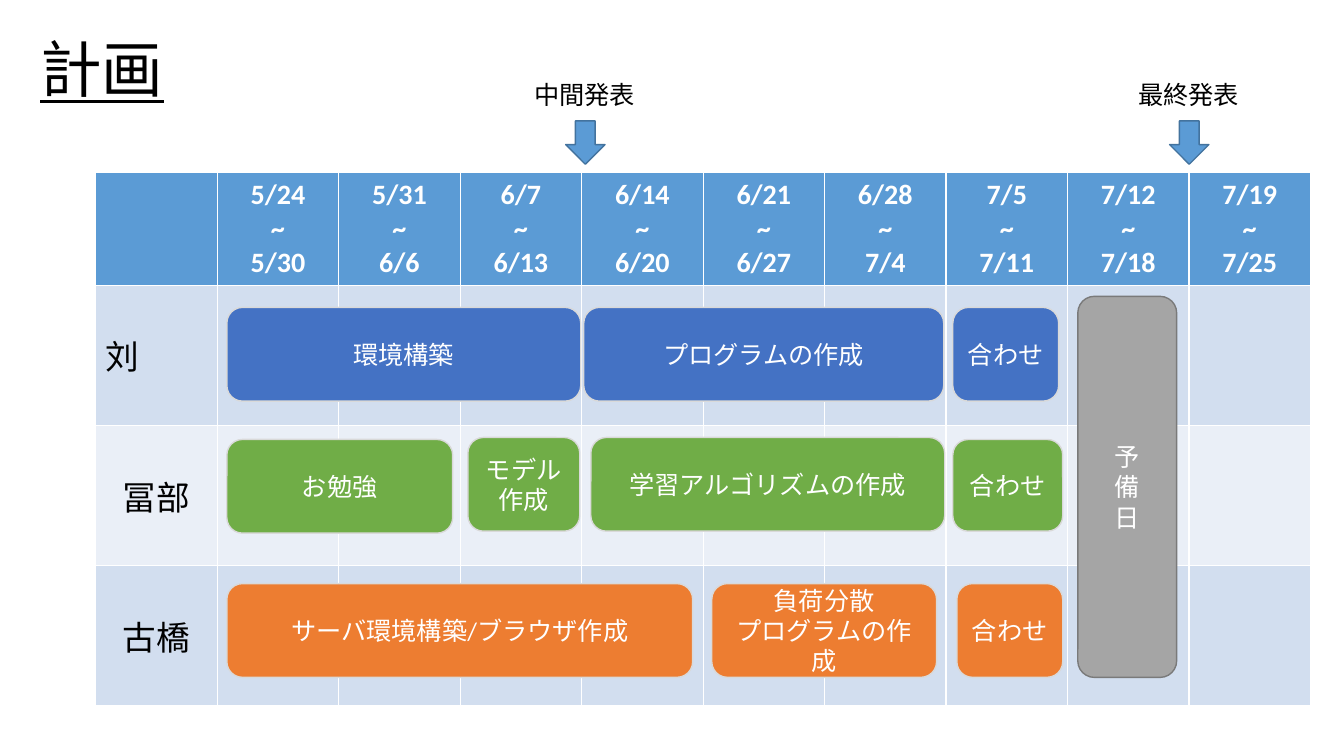
"""Build the project plan slide: a weekly schedule with task bars."""
import pptx
import pptx.dml.color
import pptx.enum.shapes
import pptx.enum.text
import pptx.util

Inches = pptx.util.Inches
RGBColor = pptx.dml.color.RGBColor
ALIGN = pptx.enum.text.PP_ALIGN
MIDDLE = pptx.enum.text.MSO_ANCHOR.MIDDLE
SHAPE = pptx.enum.shapes.MSO_SHAPE

BLACK = RGBColor(0x00, 0x00, 0x00)
WHITE = RGBColor(0xFF, 0xFF, 0xFF)
SKY = RGBColor(0x5B, 0x9B, 0xD5)
NAVY = RGBColor(0x43, 0x73, 0x9E)
DARK = RGBColor(0xD2, 0xDE, 0xEF)
LIGHT = RGBColor(0xEA, 0xEF, 0xF7)
BLUE = RGBColor(0x44, 0x72, 0xC4)
GREEN = RGBColor(0x70, 0xAD, 0x47)
ORANGE = RGBColor(0xED, 0x7D, 0x31)
GREY = RGBColor(0xA5, 0xA5, 0xA5)
IRON = RGBColor(0x7A, 0x7A, 0x7A)
SILVER = RGBColor(0xD9, 0xD9, 0xD9)

WEEKS = ["5/24~5/30", "5/31~6/6", "6/7~6/13", "6/14~6/20", "6/21~6/27",
         "6/28~7/4", "7/5~7/11", "7/12~7/18", "7/19~7/25"]
MEMBERS = [("刘", "Arial", ALIGN.JUSTIFY), ("冨部", "Arial", ALIGN.CENTER),
           ("古橋", "Calibri", ALIGN.CENTER)]
EVENTS = [("中間発表", 5.2), ("最終発表", 11.19)]
ROUND = SHAPE.ROUNDED_RECTANGLE
SOFT = SHAPE.FLOWCHART_ALTERNATE_PROCESS
TASKS = [
    ("サーバ環境構築/ブラウザ作成", ROUND, ORANGE, 2.25, 5.79, 4.62, 0.93),
    ("負荷分散\nプログラムの作成", ROUND, ORANGE, 7.06, 5.79, 2.23, 0.93),
    ("合わせ", ROUND, ORANGE, 9.49, 5.79, 1.05, 0.93),
    ("予\n備\n日", ROUND, GREY, 10.69, 2.94, 0.98, 3.78),
    ("環境構築", ROUND, BLUE, 2.25, 3.05, 3.51, 0.93),
    ("プログラムの作成", ROUND, BLUE, 5.79, 3.05, 3.57, 0.93),
    ("合わせ", ROUND, BLUE, 9.45, 3.05, 1.05, 0.93),
    ("お勉強", SOFT, GREEN, 2.25, 4.36, 2.24, 0.93),
    ("学習アルゴリズムの作成", SOFT, GREEN, 5.86, 4.34, 3.51, 0.93),
    ("合わせ", ROUND, GREEN, 9.45, 4.36, 1.09, 0.91),
    ("モデル作成", SOFT, GREEN, 4.64, 4.34, 1.11, 0.93),
]


def write(frame, text, size=18, color=WHITE, font="Calibri", bold=False,
          line=False, align=ALIGN.CENTER, space=None):
    """Fill a text frame with one paragraph per line of text."""
    frame.text = text
    for para in frame.paragraphs:
        para.alignment = align
        para.line_spacing = space
        for run in para.runs:
            run.font.size = pptx.util.Pt(size)
            run.font.name = font
            run.font.bold = bold
            run.font.underline = line
            run.font.color.rgb = color


def add_title(slide, text):
    """Place and format the title."""
    title = slide.shapes.title
    title.left, title.top = Inches(0.3), Inches(0.25)
    title.width, title.height = Inches(11.5), Inches(0.94)
    title.text_frame.vertical_anchor = MIDDLE
    write(title.text_frame, text, size=44, color=BLACK, line=True,
          align=ALIGN.LEFT, space=0.9)


def add_grid(slide):
    """Add the table of weeks by members."""
    rows, cols = len(MEMBERS) + 1, len(WEEKS) + 1
    grid = slide.shapes.add_table(rows, cols, Inches(0.95), Inches(1.71),
                                  Inches(12.05), Inches(5.18)).table
    for col in grid.columns:
        col.width = Inches(12.05 / cols)
    for i, row in enumerate(grid.rows):
        row.height = Inches(1.39 if i else 1.01)
        for cell in row.cells:
            cell.vertical_anchor = MIDDLE
            cell.fill.solid()
            cell.fill.fore_color.rgb = (DARK if i % 2 else LIGHT) if i else SKY
    for i, week in enumerate(WEEKS, 1):
        write(grid.cell(0, i).text_frame, week.replace("~", "\n~\n"),
              size=20, bold=True)
    for i, (name, font, align) in enumerate(MEMBERS, 1):
        write(grid.cell(i, 0).text_frame, name, size=24, color=BLACK,
              font=font, align=align)


def add_block(slide, kind, fill, edge, left, top, width, height):
    """Add a filled and outlined shape."""
    block = slide.shapes.add_shape(kind, Inches(left), Inches(top),
                                   Inches(width), Inches(height))
    block.shadow.inherit = False
    block.fill.solid()
    block.fill.fore_color.rgb = fill
    block.line.color.rgb = edge
    block.line.width = pptx.util.Pt(1)
    return block


def add_event(slide, text, left):
    """Add a label with an arrow pointing down at the table."""
    add_block(slide, SHAPE.DOWN_ARROW, SKY, NAVY, left + 0.41, 1.2, 0.39, 0.43)
    label = slide.shapes.add_textbox(Inches(left), Inches(0.74),
                                     Inches(1.21), Inches(0.4))
    frame = label.text_frame
    frame.word_wrap = False
    frame.auto_size = pptx.enum.text.MSO_AUTO_SIZE.SHAPE_TO_FIT_TEXT
    write(frame, text, color=BLACK, align=ALIGN.LEFT)


def add_task(slide, text, kind, fill, *place):
    """Add a task bar with centred text."""
    edge = IRON if fill == GREY else SILVER
    frame = add_block(slide, kind, fill, edge, *place).text_frame
    frame.word_wrap = True
    frame.vertical_anchor = MIDDLE
    write(frame, text)


def main():
    """Build and save the slide."""
    deck = pptx.Presentation()
    deck.slide_width, deck.slide_height = Inches(13.33), Inches(7.5)
    slide = deck.slides.add_slide(deck.slide_layouts[5])
    add_title(slide, "計画")
    add_grid(slide)
    for event in EVENTS:
        add_event(slide, *event)
    for task in TASKS:
        add_task(slide, *task)
    deck.save("out.pptx")


if __name__ == "__main__":
    main()
